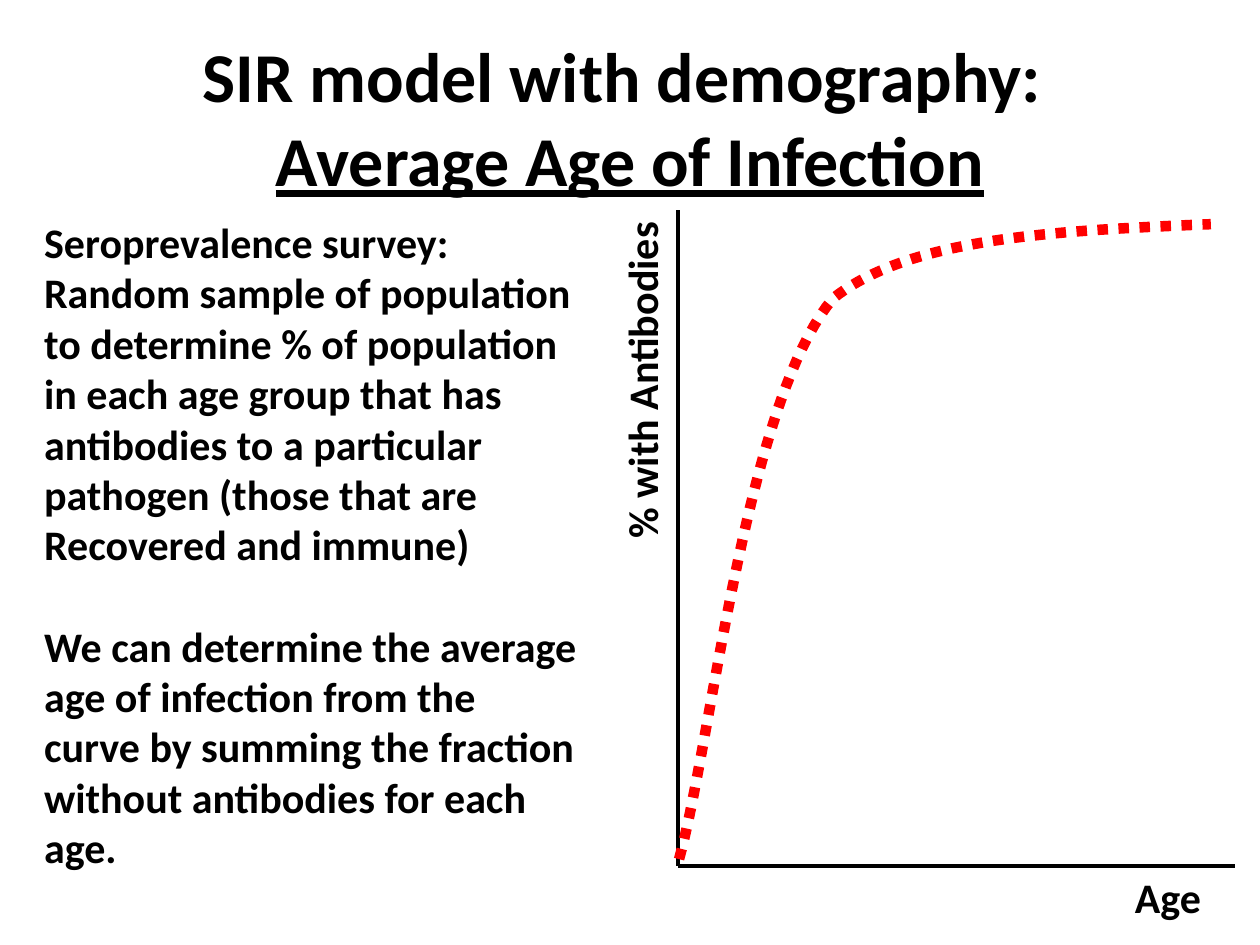
from dataclasses import dataclass

import pptx
import pptx.dml.color
import pptx.enum.dml
import pptx.enum.shapes
import pptx.enum.text
import pptx.oxml
import pptx.oxml.ns
import pptx.util
from pptx.util import Cm


@dataclass(frozen=True)
class Theme:
    font: str = "Calibri"
    ink: pptx.dml.color.RGBColor = pptx.dml.color.RGBColor(0, 0, 0)
    curve: pptx.dml.color.RGBColor = pptx.dml.color.RGBColor(255, 0, 0)
    title_size: pptx.util.Pt = pptx.util.Pt(40)
    text_size: pptx.util.Pt = pptx.util.Pt(24)
    axis_width: pptx.util.Pt = pptx.util.Pt(2.25)
    curve_width: pptx.util.Pt = pptx.util.Pt(6)


theme = Theme()


def add_text(box, paragraphs, size, wrap=True):
    """Add a bold text box; box is left, top, width, height in cm."""
    shape = slide.shapes.add_textbox(*map(Cm, box))
    frame = shape.text_frame
    frame.word_wrap = wrap
    frame.text = "\n".join(paragraphs)
    for paragraph in frame.paragraphs:
        for run in paragraph.runs:
            run.font.name = theme.font
            run.font.size = size
            run.font.bold = True
            run.font.color.rgb = theme.ink
    return shape


def bezier(points, t):
    """Point at t on a cubic Bezier curve."""
    weights = ((1 - t) ** 3, 3 * t * (1 - t) ** 2, 3 * t**2 * (1 - t), t**3)
    return tuple(
        Cm(sum(w * point[axis] for w, point in zip(weights, points)))
        for axis in (0, 1)
    )


presentation = pptx.Presentation()
presentation.slide_width = Cm(25.4)
presentation.slide_height = Cm(19.05)
slide = presentation.slides.add_slide(presentation.slide_layouts[6])

# Title
title = add_text(
    (1.27, 0.76, 22.86, 3.18),
    ["SIR model with demography: \vAverage Age of Infection"],
    theme.title_size,
)
title.text_frame.vertical_anchor = pptx.enum.text.MSO_ANCHOR.MIDDLE
heading = title.text_frame.paragraphs[0]
heading.alignment = pptx.enum.text.PP_ALIGN.CENTER
heading.runs[1].font.underline = True

# Axes
origin = (13.67, 17.45)
for end in ((13.67, 4.24), (24.89, 17.45)):
    axis_line = slide.shapes.add_connector(
        pptx.enum.shapes.MSO_CONNECTOR.STRAIGHT, *map(Cm, origin + end)
    )
    axis_line.line.color.rgb = theme.ink
    axis_line.line.width = theme.axis_width
    axis_line._element.spPr.append(pptx.oxml.parse_xml(
        f"<a:effectLst {pptx.oxml.ns.nsdecls('a')}/>"
    ))

antibodies_label = add_text(
    (9.45, 6.99, 6.96, 1.27), ["% with Antibodies"], theme.text_size, wrap=False
)
antibodies_label.rotation = 270
add_text((22.63, 17.45, 1.85, 1.27), ["Age"], theme.text_size, wrap=False)

# Seroprevalence curve: two Bezier segments that meet at the knee
start, knee, plateau = (13.69, 17.32), (16.79, 6.02), (24.41, 4.52)
segments = (
    (start, (14.35, 14.96), (15.01, 8.15), knee),
    (knee, (18.34, 4.78), (21.36, 4.65), plateau),
)
steps = 40
builder = slide.shapes.build_freeform(*bezier(segments[0], 0))
for segment in segments:
    builder.add_line_segments(
        [bezier(segment, step / steps) for step in range(1, steps + 1)], close=False
    )
curve = builder.convert_to_shape()
curve.shadow.inherit = False
curve.fill.background()
curve.line.color.rgb = theme.curve
curve.line.width = theme.curve_width
curve.line.dash_style = pptx.enum.dml.MSO_LINE.ROUND_DOT

# Explanation
explanation = add_text(
    (0.64, 4.24, 11.23, 13.59),
    [
        "Seroprevalence survey:",
        "Random sample of population to determine % of population in each age "
        "group that has antibodies to a particular pathogen (those that are "
        "Recovered and immune)",
        "We can determine the average age of infection from the curve by summing "
        "the fraction without antibodies for each age.",
    ],
    theme.text_size,
)
explanation.text_frame.paragraphs[2].space_before = pptx.util.Pt(29)

presentation.save("out.pptx")
